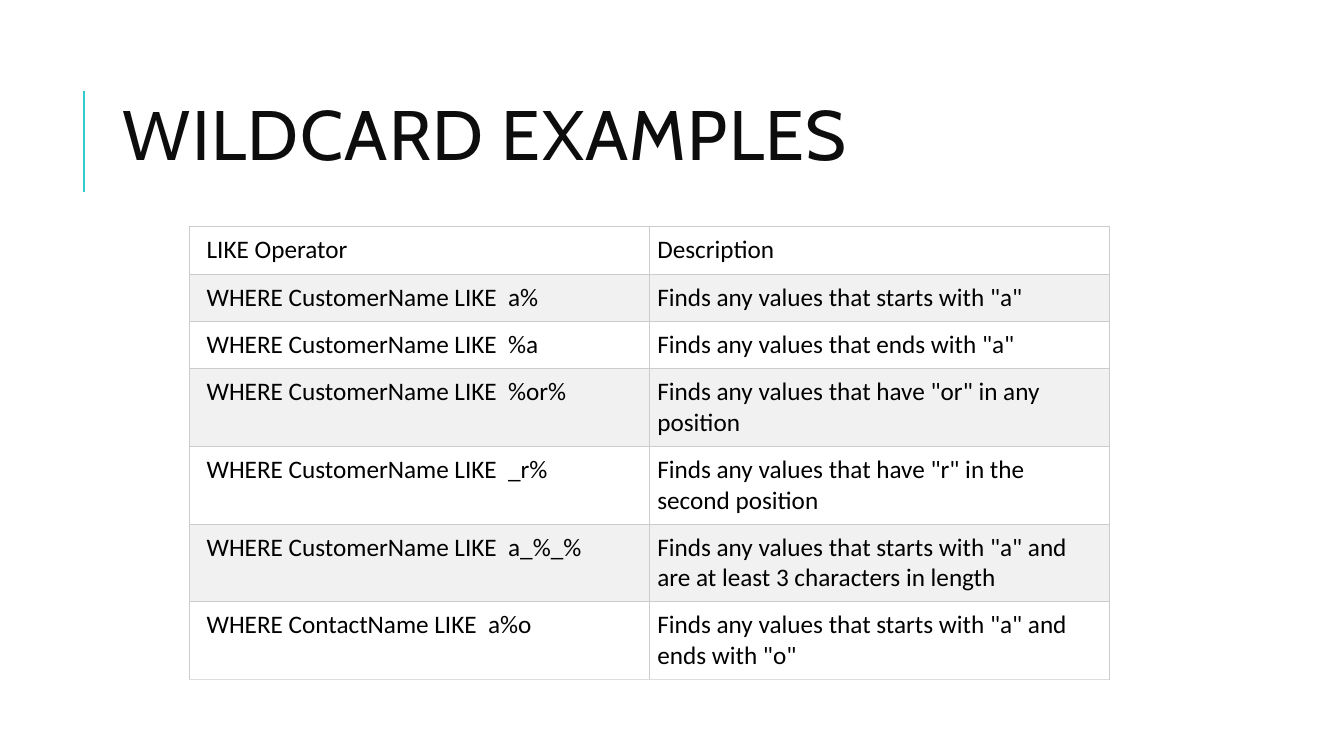
from lxml.etree import SubElement
from pptx import Presentation
from pptx.dml.color import RGBColor
from pptx.enum.text import MSO_ANCHOR
from pptx.enum.shapes import MSO_CONNECTOR
from pptx.oxml.ns import qn
from pptx.util import Pt

SCALE = 9144
ROWS = [
    ("LIKE Operator", "Description", 47),
    ("WHERE CustomerName LIKE  a%", 'Finds any values that starts with "a"', 47),
    ("WHERE CustomerName LIKE  %a", 'Finds any values that ends with "a"', 47),
    ("WHERE CustomerName LIKE  %or%", 'Finds any values that have "or" in any position', 77),
    ("WHERE CustomerName LIKE  _r%", 'Finds any values that have "r" in the second position', 77),
    ("WHERE CustomerName LIKE  a_%_%",
     'Finds any values that starts with "a" and are at least 3 characters in length', 77),
    ("WHERE ContactName LIKE  a%o", 'Finds any values that starts with "a" and ends with "o"', 77),
]


def px(n):
    return int(n * SCALE)


def tint(code):
    return RGBColor.from_string(code)


def write(frame, text, font="Calibri", size=18, color="000000", lead=None, track=0):
    para = frame.paragraphs[0]
    para.line_spacing = lead
    run = para.add_run()
    run.text = text
    run.font.name = font
    run.font.size = Pt(size)
    run.font.color.rgb = tint(color)
    if track:
        run._r.get_or_add_rPr().set("spc", str(track * 100))


class Deck:
    accent = "33CCCC"
    ink = "0D0D0D"
    head = "Cabin"
    edge = "CCCCCC"
    base = "DDDDDD"
    bands = ("FFFFFF", "F1F1F1")

    def __init__(self, wide, high):
        self.file = Presentation()
        self.file.slide_width = px(wide)
        self.file.slide_height = px(high)
        self.slide = self.file.slides.add_slide(self.file.slide_layouts[6])

    def rule(self, x1, y1, x2, y2):
        line = self.slide.shapes.add_connector(
            MSO_CONNECTOR.STRAIGHT, px(x1), px(y1), px(x2), px(y2))
        line.line.color.rgb = tint(self.accent)
        line.line.width = Pt(1.5)
        SubElement(line._element.spPr, qn("a:effectLst"))

    def title(self, text, x, y, w, h):
        frame = self.slide.shapes.add_textbox(px(x), px(y), px(w), px(h)).text_frame
        frame.word_wrap = True
        frame.vertical_anchor = MSO_ANCHOR.MIDDLE
        write(frame, text, font=self.head, size=50, color=self.ink, lead=0.8, track=1)

    def border(self, cell, side, color):
        line = SubElement(cell._tc.get_or_add_tcPr(), qn("a:ln" + side), w=str(Pt(0.75)))
        fill = SubElement(line, qn("a:solidFill"))
        SubElement(fill, qn("a:srgbClr"), val=color)

    def cell(self, cell, text, left, fill, base):
        cell.margin_left = px(left)
        cell.margin_right = cell.margin_top = cell.margin_bottom = px(8)
        for side in "LRTB":
            self.border(cell, side, base if side == "B" else self.edge)
        cell.fill.solid()
        cell.fill.fore_color.rgb = tint(fill)
        write(cell.text_frame, text)

    def table(self, rows, x, y, wide):
        high = sum(row[-1] for row in rows)
        grid = self.slide.shapes.add_table(
            len(rows), 2, px(x), px(y), px(wide * 2), px(high)).table
        grid.first_row = grid.horz_banding = False
        for col in grid.columns:
            col.width = px(wide)
        for i, (*texts, tall) in enumerate(rows):
            grid.rows[i].height = px(tall)
            base = self.base if i == len(rows) - 1 else self.edge
            for j, text in enumerate(texts):
                self.cell(grid.cell(i, j), text, (17, 8)[j], self.bands[i % 2], base)


def main():
    deck = Deck(1333, 750)
    deck.rule(83, 190, 83, 90)
    deck.title("WILDCARD EXAMPLES", 112, 89, 1063, 101)
    deck.table(ROWS, 188, 225, 456)
    deck.file.save("out.pptx")


if __name__ == "__main__":
    main()
